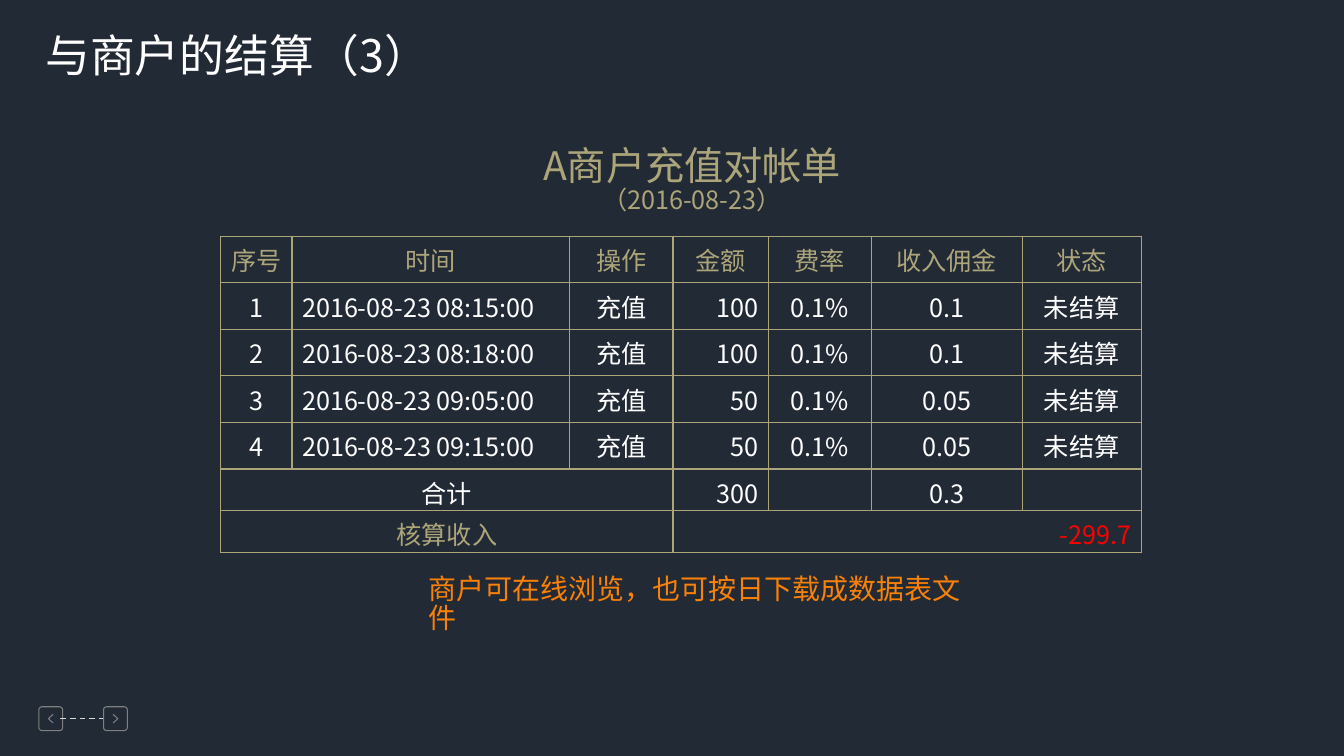
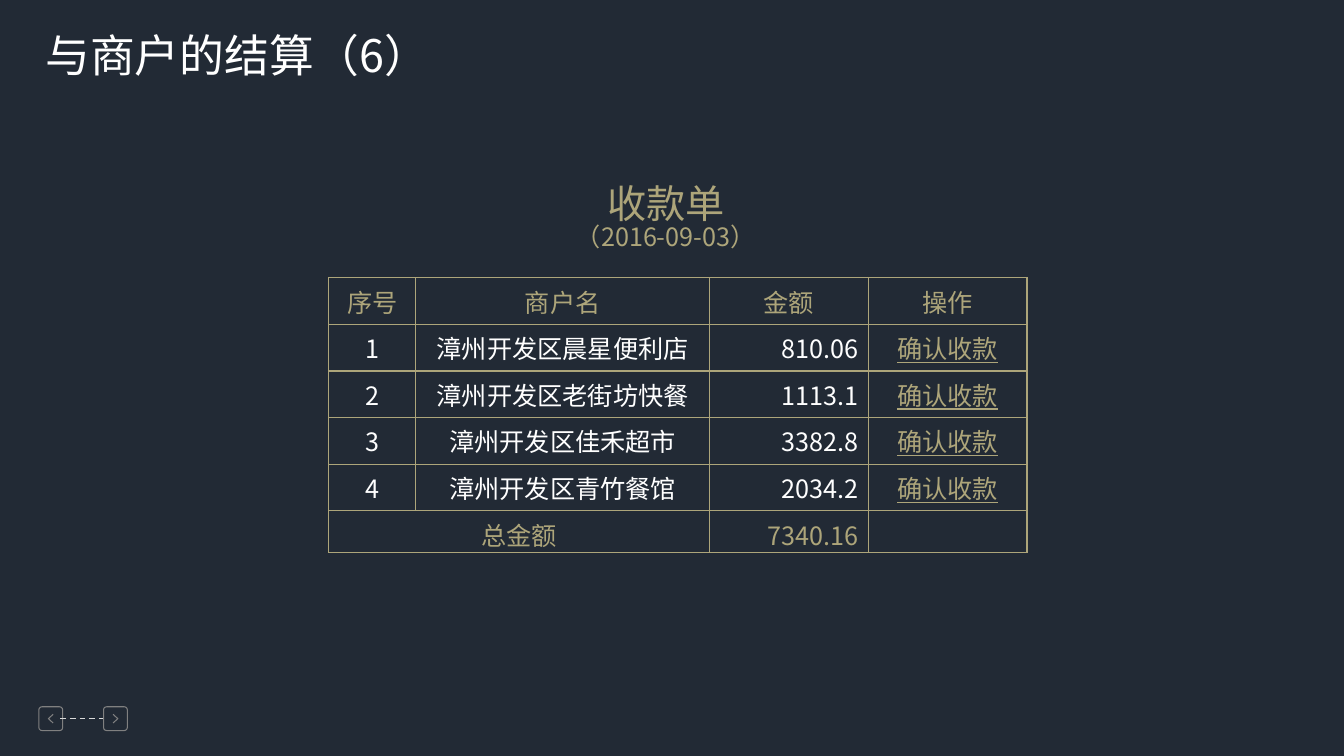
"""Build two dark settlement slides, each with a captioned ledger table."""
from dataclasses import dataclass

from lxml import etree
from pptx import Presentation
from pptx import util as u
from pptx.dml.color import RGBColor
from pptx.enum import dml, shapes, text
from pptx.oxml.ns import qn


@dataclass(frozen=True)
class Theme:
    font: str = "Noto Sans CJK SC"
    back: str = "222A35"
    white: str = "FFFFFF"
    gold: str = "ADA57A"
    red: str = "FF0000"
    orange: str = "FA8107"
    grey: str = "808080"
    dash: str = "D9D9D9"
    title: int = 32
    caption: int = 28
    note: int = 20
    body: int = 18


theme = Theme()
LEFT, CENTER, RIGHT = text.PP_ALIGN.LEFT, text.PP_ALIGN.CENTER, text.PP_ALIGN.RIGHT


def style(para, size, color, align=LEFT, underline=None):
    para.alignment = align
    font = para.font
    font.size = u.Pt(size)
    font.name = theme.font
    font.color.rgb = RGBColor.from_string(color)
    font.underline = underline
    latin = para._p.pPr.find(qn("a:defRPr")).find(qn("a:latin"))
    east = etree.Element(qn("a:ea"), typeface=theme.font)
    latin.addnext(east)


def fill_box(box, lines, align=LEFT):
    frame = box.text_frame
    frame.word_wrap = True
    frame.auto_size = text.MSO_AUTO_SIZE.NONE
    frame.vertical_anchor = text.MSO_ANCHOR.TOP
    frame.margin_top = u.Cm(0.2)
    frame.text = "\n".join(words for words, size, color in lines)
    for para, (words, size, color) in zip(frame.paragraphs, lines):
        para.line_spacing = 0.84
        style(para, size, color, align)


pages = [
    {
        "title": "与商户的结算（3）",
        "caption": ("A商户充值对帐单", "（2016-08-23）"),
        "caption_at": (12.14, 3.56),
        "table_at": (5.56, 5.95),
        "widths": [1.8, 7, 2.6, 2.4, 2.6, 3.8, 3],
        "aligns": [CENTER, LEFT, CENTER, RIGHT, CENTER, CENTER, CENTER],
        "rows": [
            ["序号", "时间", "操作", "金额", "费率", "收入佣金", "状态"],
            ["1", "2016-08-23 08:15:00", "充值", "100", "0.1%", "0.1", "未结算"],
            ["2", "2016-08-23 08:18:00", "充值", "100", "0.1%", "0.1", "未结算"],
            ["3", "2016-08-23 09:05:00", "充值", "50", "0.1%", "0.05", "未结算"],
            ["4", "2016-08-23 09:15:00", "充值", "50", "0.1%", "0.05", "未结算"],
            ["合计", "", "", "300", "", "0.3", ""],
            ["核算收入", "", "", "-299.7", "", "", ""],
        ],
        "totals": 2,
        "merges": [(5, 0, 2), (6, 0, 2), (6, 3, 6)],
        "note": "商户可在线浏览，也可按日下载成数据表文件",
    },
    {
        "title": "与商户的结算（6）",
        "caption": ("收款单", "（2016-09-03）"),
        "caption_at": (11.48, 4.5),
        "table_at": (8.28, 7),
        "widths": [2.2, 7.4, 4, 4],
        "aligns": [CENTER, CENTER, RIGHT, CENTER],
        "rows": [
            ["序号", "商户名", "金额", "操作"],
            ["1", "漳州开发区晨星便利店", "810.06", "确认收款"],
            ["2", "漳州开发区老街坊快餐", "1113.1", "确认收款"],
            ["3", "漳州开发区佳禾超市", "3382.8", "确认收款"],
            ["4", "漳州开发区青竹餐馆", "2034.2", "确认收款"],
            ["总金额", "", "7340.16", ""],
        ],
        "totals": 1,
        "merges": [(5, 0, 1)],
        "note": None,
    },
]

deck = Presentation()
deck.slide_width, deck.slide_height = u.Cm(33.87), u.Cm(19.05)
master_fill = deck.slide_master.background.fill
master_fill.solid()
master_fill.fore_color.rgb = RGBColor.from_string(theme.back)
layout = deck.slide_layouts[5]

for content in pages:
    page = deck.slides.add_slide(layout)
    title = page.shapes.title
    title.left, title.top = u.Cm(0.89), u.Cm(0.71)
    title.width, title.height = u.Cm(22), u.Cm(1.63)
    fill_box(title, [(content["title"], theme.title, theme.white)])

    middle = 18.11
    for center, direction in ((1.28, -1), (2.91, 1)):
        button = page.shapes.add_shape(
            shapes.MSO_SHAPE.ROUNDED_RECTANGLE,
            u.Cm(center - 0.3), u.Cm(middle - 0.3), u.Cm(0.6), u.Cm(0.6))
        button.adjustments[0] = 0.13
        tip = center + direction * 0.06
        tail = center - direction * 0.06
        builder = page.shapes.build_freeform(u.Cm(tail), u.Cm(middle - 0.11))
        builder.add_line_segments(
            [(u.Cm(tip), u.Cm(middle)), (u.Cm(tail), u.Cm(middle + 0.11))], close=False)
        arrow = builder.convert_to_shape()
        for shape in (button, arrow):
            shape.shadow.inherit = False
            shape.fill.background()
            shape.line.color.rgb = RGBColor.from_string(theme.grey)
            shape.line.width = u.Pt(0.75)

    link = page.shapes.add_connector(
        shapes.MSO_CONNECTOR.STRAIGHT, u.Cm(1.52), u.Cm(middle), u.Cm(2.59), u.Cm(middle))
    link.line.color.rgb = RGBColor.from_string(theme.dash)
    link.line.width = u.Pt(1)
    link.line.dash_style = dml.MSO_LINE.DASH
    etree.SubElement(link._element.spPr, qn("a:effectLst"))

    rows, widths = content["rows"], content["widths"]
    first_total = len(rows) - content["totals"]
    heights = [1.13 if index < first_total else 1 for index in range(len(rows))]
    left, top = content["table_at"]
    table = page.shapes.add_table(
        len(rows), len(widths), u.Cm(left), u.Cm(top),
        u.Cm(sum(widths)), u.Cm(sum(heights))).table
    table.first_row = table.horz_banding = False
    for column, width in zip(table.columns, widths):
        column.width = u.Cm(width)
    for row, height in zip(table.rows, heights):
        row.height = u.Cm(height)

    for r, values in enumerate(rows):
        for c, value in enumerate(values):
            cell = table.cell(r, c)
            cell.fill.background()
            if r >= first_total:
                cell.margin_bottom = 0
            for index, side in enumerate(("lnL", "lnR", "lnT", "lnB")):
                border = etree.Element(qn(f"a:{side}"), w=str(u.Pt(1)))
                solid = etree.SubElement(border, qn("a:solidFill"))
                etree.SubElement(solid, qn("a:srgbClr"), val=theme.gold)
                cell._tc.tcPr.insert(index, border)
            cell.text = value
            action = value == "确认收款"
            accent = action or r in (0, len(rows) - 1)
            color = theme.gold if accent else theme.white
            if value.startswith("-"):
                color = theme.red
            align = content["aligns"][c] if r else CENTER
            style(cell.text_frame.paragraphs[0], theme.body, color, align, action or None)
    for r, start, end in content["merges"]:
        table.cell(r, start).merge(table.cell(r, end))

    left, top = content["caption_at"]
    caption = page.shapes.add_textbox(u.Cm(left), u.Cm(top), u.Cm(10.6), u.Cm(2.24))
    sizes = (theme.caption, theme.body)
    fill_box(caption, [(words, size, theme.gold)
                       for words, size in zip(content["caption"], sizes)], CENTER)

    if content["note"]:
        note = page.shapes.add_textbox(u.Cm(10.54), u.Cm(14.35), u.Cm(14.4), u.Cm(1.12))
        fill_box(note, [(content["note"], theme.note, theme.orange)])

deck.save("out.pptx")
